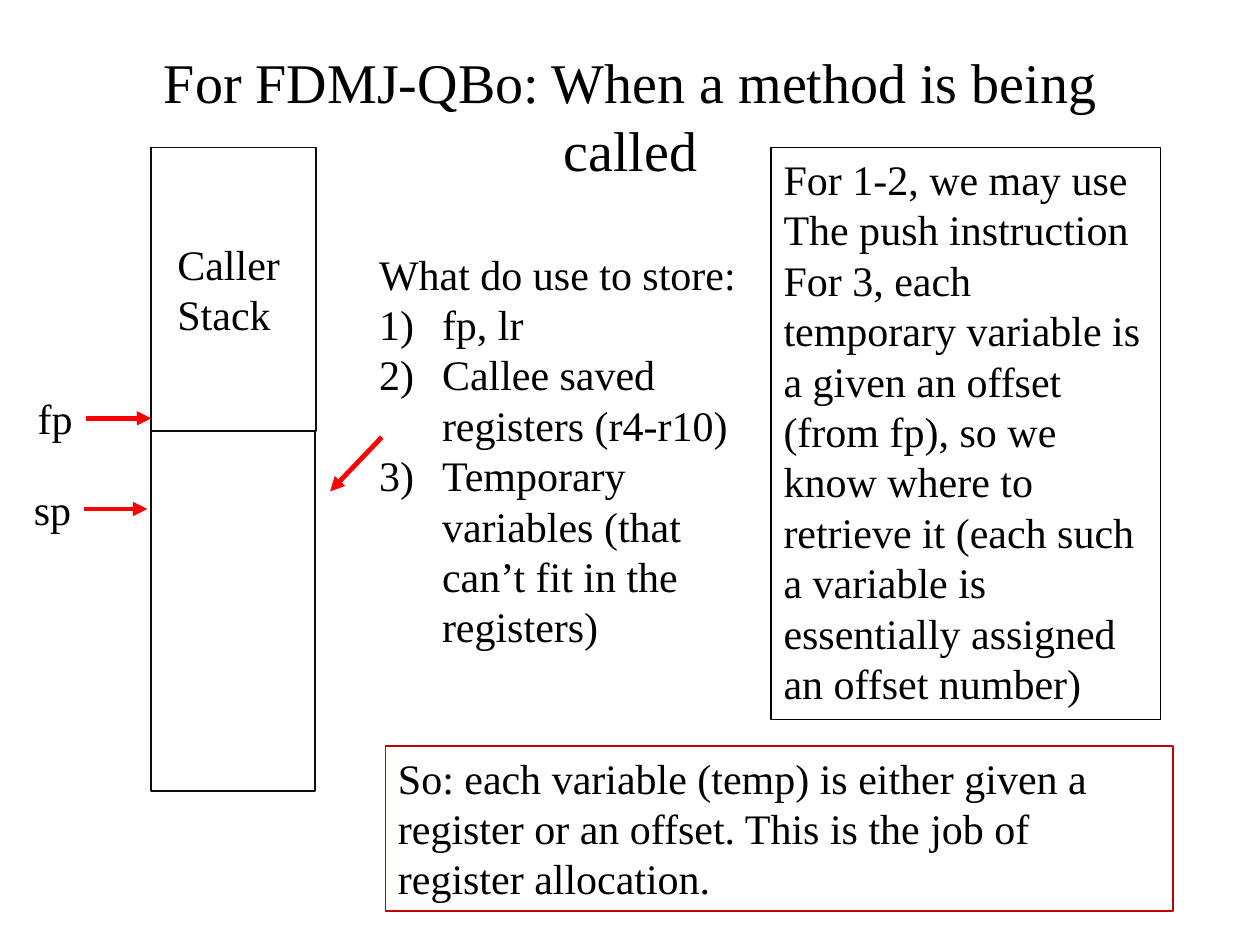
from lxml import etree
from pptx import Presentation
from pptx.dml.color import RGBColor
from pptx.enum.shapes import MSO_CONNECTOR as Connector, MSO_SHAPE as Shape
from pptx.enum.text import MSO_ANCHOR as Anchor, PP_ALIGN as Align
from pptx.oxml.ns import qn
from pptx.util import Inches, Pt


def color(value):
    return RGBColor.from_string(value)


def write(box, lines, size=24, align=Align.LEFT, wrap=True):
    """Fill a shape with one black paragraph per line."""
    frame = box.text_frame
    for name, value in {"word_wrap": wrap, "vertical_anchor": Anchor.TOP}.items():
        setattr(frame, name, value)
    frame.text = "\n".join(lines)
    for para in frame.paragraphs:
        para.alignment = align
        font = para.runs[0].font
        for name, value in {"name": "Times New Roman", "size": Pt(size)}.items():
            setattr(font, name, value)
        font.color.rgb = color("000000")


deck = Presentation()
deck.slide_width, deck.slide_height = Inches(10), Inches(7.5)
page = deck.slides.add_slide(deck.slide_layouts[5])

# Title
title = page.shapes.title
place = {"left": 0.69, "top": 0.33, "width": 8.63, "height": 0.5}
for name, value in place.items():
    setattr(title, name, Inches(value))
write(title, ["For FDMJ-QBo: When a method is being called"], 32, Align.CENTER)

# Stack frames and framed remarks: position, line colour, line width, text
push_remark = [
    "For 1-2, we may use",
    "The push instruction",
    "For 3, each temporary variable is a given an offset (from fp), so we know "
    "where to retrieve it (each such a variable is essentially assigned an "
    "offset number)",
]
conclusion = ["So: each variable (temp) is either given a register or an offset. "
              "This is the job of register allocation."]
frames = [
    ((1.2, 3.42, 1.3, 2.86), "0D0D0D", 1, None),
    ((1.2, 1.17, 1.31, 2.25), "0D0D0D", 1, None),
    ((6.12, 1.17, 3.09, 4.54), "000000", 0.75, push_remark),
    ((3.06, 5.92, 6.25, 1.31), "C00000", 0.75, conclusion),
]
for position, line_color, line_width, lines in frames:
    box = page.shapes.add_shape(Shape.RECTANGLE, *map(Inches, position))
    box.shadow.inherit = False
    box.fill.background()
    box.line.color.rgb = color(line_color)
    box.line.width = Pt(line_width)
    if lines:
        write(box, lines)

# Stack and pointer labels
labels = [
    ("Caller Stack", (1.31, 1.84, 1.07, 0.91), True),
    ("fp", (0.2, 3.07, 0.48, 0.5), False),
    ("sp", (0.17, 3.79, 0.5, 0.5), False),
]
for text, position, wrap in labels:
    write(page.shapes.add_textbox(*map(Inches, position)), [text], wrap=wrap)

# What is stored: a heading and a numbered list
stored = page.shapes.add_textbox(*map(Inches, (2.91, 1.92, 3.09, 3.74)))
write(stored, [
    "What do use to store:",
    "fp, lr",
    "Callee saved registers (r4-r10)",
    "Temporary variables (that can’t fit in the registers)",
])
for para in stored.text_frame.paragraphs[1:]:
    props = para._p.get_or_add_pPr()
    props.set("marL", str(Inches(0.5)))
    props.set("indent", str(Inches(-0.5)))
    etree.SubElement(props, qn("a:buFont"), typeface="+mj-lt")
    etree.SubElement(props, qn("a:buAutoNum"), type="arabicParenR")

# Red arrows
arrows = [
    (0.68, 3.32, 1.2, 3.32),
    (0.67, 4.04, 1.17, 4.04),
    (3.03, 3.47, 2.62, 3.9),
]
for ends in arrows:
    arrow = page.shapes.add_connector(Connector.STRAIGHT, *map(Inches, ends))
    arrow.line.color.rgb = color("FF0000")
    arrow.line.width = Pt(2.75)
    etree.SubElement(arrow.line._get_or_add_ln(), qn("a:tailEnd"), type="triangle")
    etree.SubElement(arrow._element.spPr, qn("a:effectLst"))

deck.save("out.pptx")
